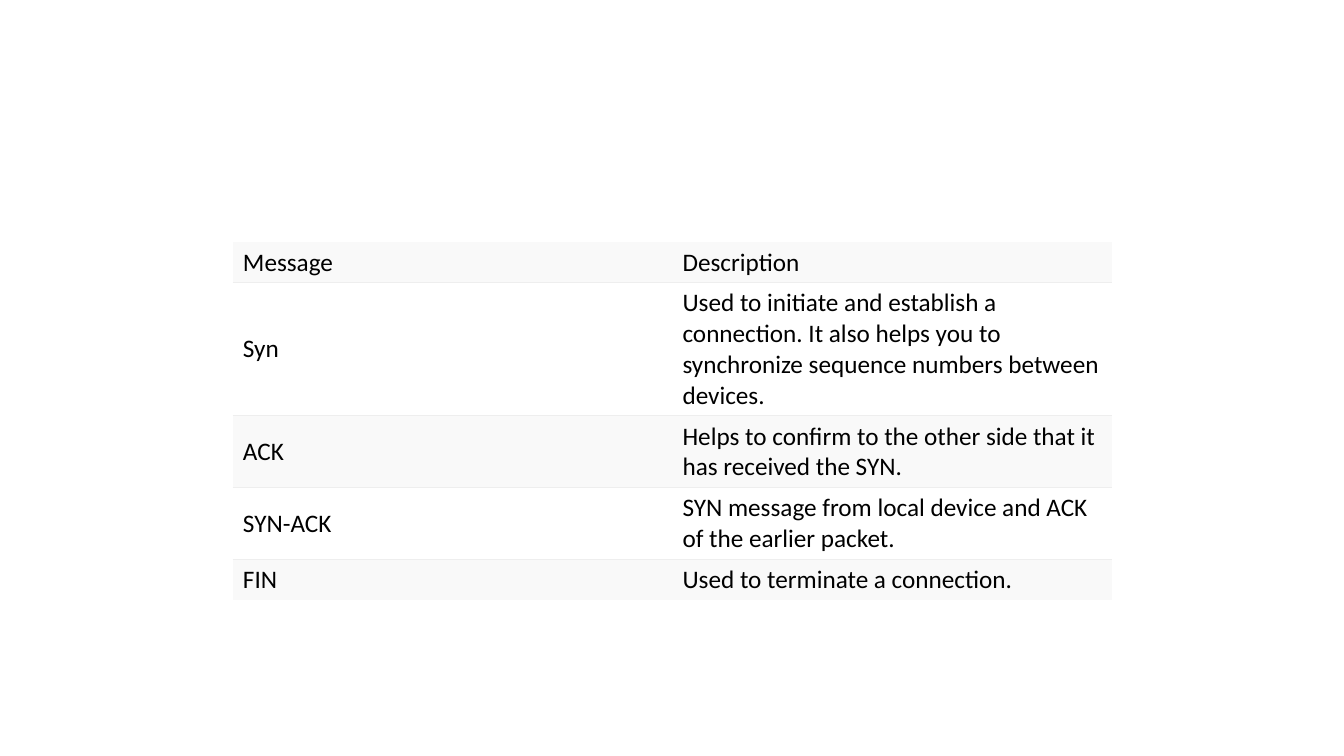
from dataclasses import dataclass

from lxml import etree
from pptx import Presentation
from pptx.dml.color import RGBColor
from pptx.enum import text
from pptx.oxml import ns
from pptx.util import Inches, Pt

COLORS = {"text": "000000", "band": "F9F9F9", "plain": "FFFFFF", "rule": "EEEEEE"}


@dataclass
class MessageRow:
    message: str
    description: str
    height: float


ROWS = [
    MessageRow("Message", "Description", 0.4),
    MessageRow("Syn", "Used to initiate and establish a connection. It also helps you to "
               "synchronize sequence numbers between devices.", 1.32),
    MessageRow("ACK", "Helps to confirm to the other side that it has received the SYN.", 0.71),
    MessageRow("SYN-ACK", "SYN message from local device and ACK of the earlier packet.", 0.71),
    MessageRow("FIN", "Used to terminate a connection.", 0.4),
]
LEFT, TOP, COLUMN_WIDTH = 2.31, 2.4, 4.36


def set_borders(cell, ruled_sides: str) -> None:
    tc_pr = cell._tc.get_or_add_tcPr()
    for side in "LRTB":
        ln = etree.SubElement(tc_pr, ns.qn(f"a:ln{side}"), w=str(Pt(0.75)))
        if side in ruled_sides:
            fill = etree.SubElement(ln, ns.qn("a:solidFill"))
            etree.SubElement(fill, ns.qn("a:srgbClr"), val=COLORS["rule"])
        else:
            etree.SubElement(ln, ns.qn("a:noFill"))


def fill_cell(cell, words: str, color: str, ruled_sides: str) -> None:
    set_borders(cell, ruled_sides)
    cell.fill.solid()
    cell.fill.fore_color.rgb = RGBColor.from_string(color)
    cell.vertical_anchor = text.MSO_ANCHOR.MIDDLE
    p = cell.text_frame.paragraphs[0]
    p.text = words
    font = p.runs[0].font
    font.name = "Calibri"
    font.size = Pt(18)
    font.bold = False
    font.color.rgb = RGBColor.from_string(COLORS["text"])


def add_message_table(slide, rows: list[MessageRow]) -> None:
    height = sum(row.height for row in rows)
    table = slide.shapes.add_table(len(rows), 2, Inches(LEFT), Inches(TOP),
                                   Inches(2 * COLUMN_WIDTH), Inches(height)).table
    for column in table.columns:
        column.width = Inches(COLUMN_WIDTH)
    for i, row in enumerate(rows):
        table.rows[i].height = Inches(row.height)
        color = COLORS["plain" if i % 2 else "band"]
        ruled_sides = ("T" if i > 0 else "") + ("B" if i < len(rows) - 1 else "")
        for j, words in enumerate((row.message, row.description)):
            fill_cell(table.cell(i, j), words, color, ruled_sides)


def main() -> None:
    prs = Presentation()
    prs.slide_width, prs.slide_height = Inches(13.33), Inches(7.5)
    slide = prs.slides.add_slide(prs.slide_layouts[6])
    add_message_table(slide, ROWS)
    prs.save("out.pptx")


if __name__ == "__main__":
    main()
